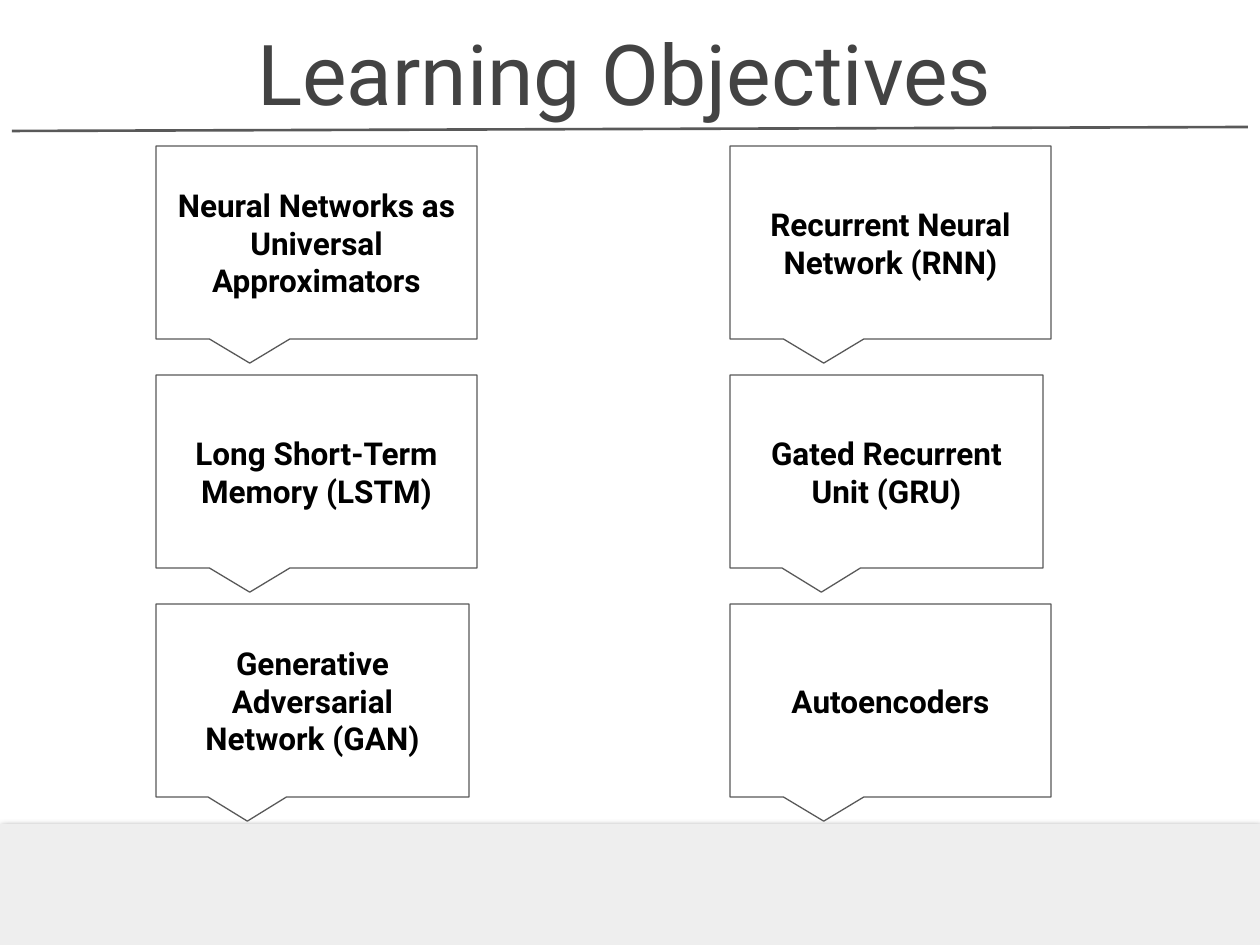
from lxml import etree
from pptx import Presentation
from pptx.dml.color import RGBColor
from pptx.enum.shapes import MSO_CONNECTOR, MSO_SHAPE
from pptx.enum.text import MSO_ANCHOR, PP_ALIGN
from pptx.oxml import parse_xml
from pptx.oxml.ns import nsdecls, qn
from pptx.util import Emu, Inches, Pt

# Content
TITLE = "Learning Objectives"
WIDE, NARROW = 321, 313
OBJECTIVES = [  # rows of (text, width)
    [("Neural Networks as Universal Approximators", WIDE),
     ("Recurrent Neural Network (RNN)", WIDE)],
    [("Long Short-Term Memory (LSTM)", WIDE),
     ("Gated Recurrent Unit (GRU)", NARROW)],
    [("Generative Adversarial Network (GAN)", NARROW),
     ("Autoencoders", WIDE)],
]

# Style and grid, in px
COLORS = {"line": "595959", "title": "434343", "text": "000000", "band": "EEEEEE"}
FONT = "Roboto"
LEFT, TOP = 156, 146
COLUMN_STEP, ROW_STEP = 574, 229
CALLOUT_HEIGHT = 193
POINTER = (-0.208, 0.625, 0)


def px(count):
    return Emu(round(count * 914400 / 126))


def color(name):
    return RGBColor.from_string(COLORS[name])


def write(shape, text, size, color_name, anchor, bold=False):
    frame = shape.text_frame
    frame.word_wrap = True
    frame.vertical_anchor = anchor
    frame.margin_left = frame.margin_right = Inches(0.1)
    frame.margin_top = frame.margin_bottom = Inches(0.1)
    para = frame.paragraphs[0]
    para.text = text
    para.alignment = PP_ALIGN.CENTER
    para.font.name = FONT
    para.font.size = Pt(size)
    para.font.bold = bold
    para.font.color.rgb = color(color_name)


def add_callout(page, left, top, width, text):
    box = page.shapes.add_shape(MSO_SHAPE.ROUNDED_RECTANGULAR_CALLOUT,
                                px(left), px(top), px(width), px(CALLOUT_HEIGHT))
    for index, value in enumerate(POINTER):
        box.adjustments[index] = value
    box.shadow.inherit = False
    box.fill.background()
    box.line.color.rgb = color("line")
    box.line.width = Pt(0.75)
    write(box, text, 18, "text", MSO_ANCHOR.MIDDLE, bold=True)


deck = Presentation()
deck.slide_width, deck.slide_height = px(1260), px(945)
page = deck.slides.add_slide(deck.slide_layouts[6])

# Rule under the title
rule = page.shapes.add_connector(MSO_CONNECTOR.STRAIGHT,
                                 px(12), px(131), px(1248), px(127))
rule.line.color.rgb = color("line")
rule.line.width = Pt(1.5)
etree.SubElement(rule._element.spPr, qn("a:effectLst"))

# Footer band with a soft shadow
band = page.shapes.add_shape(MSO_SHAPE.RECTANGLE, px(0), px(824), px(1260), px(121))
band.shadow.inherit = False
band.fill.solid()
band.fill.fore_color.rgb = color("band")
band.line.fill.background()
band._element.spPr.find(qn("a:effectLst")).append(parse_xml(
    f'<a:outerShdw {nsdecls("a")} blurRad="{Pt(4.5)}" dist="{Pt(1.5)}" '
    'dir="5400000" algn="bl" rotWithShape="0">'
    '<a:srgbClr val="000000"><a:alpha val="50000"/></a:srgbClr></a:outerShdw>'))

# Title
title = page.shapes.add_textbox(px(164), px(24), px(921), px(111))
write(title, TITLE, 48, "title", MSO_ANCHOR.BOTTOM)

# Grid of objectives
for row, cells in enumerate(OBJECTIVES):
    for column, (text, width) in enumerate(cells):
        add_callout(page, LEFT + column * COLUMN_STEP, TOP + row * ROW_STEP, width, text)

deck.save("out.pptx")
